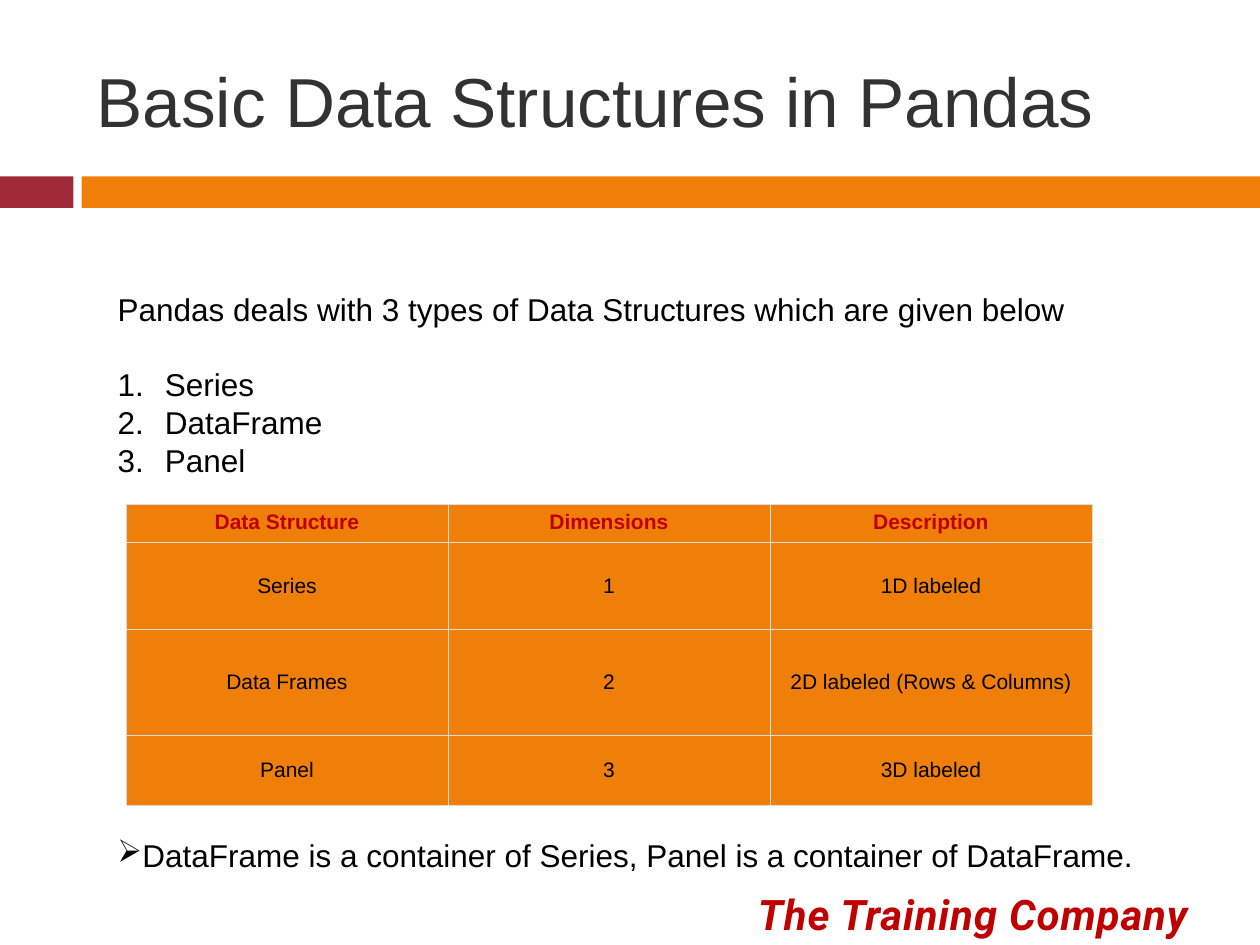
from dataclasses import dataclass

import pptx
import pptx.dml.color
import pptx.enum.shapes
import pptx.enum.text
import pptx.oxml
import pptx.oxml.ns
import pptx.util

Pt = pptx.util.Pt
Align = pptx.enum.text.PP_ALIGN
Anchor = pptx.enum.text.MSO_ANCHOR


@dataclass(frozen=True)
class Theme:
    """Colours, fonts and type sizes of the slide."""
    orange: str = "F07F09"
    maroon: str = "9F2936"
    red: str = "C00000"
    black: str = "000000"
    heading: str = "323232"
    border: str = "DDDDDD"
    font: str = "Arial"
    footer_font: str = "Roboto"
    title_size: float = 39.6
    footer_size: float = 24
    body_size: float = 18
    table_size: float = 12


@dataclass(frozen=True)
class Box:
    """Position and size in points."""
    left: float
    top: float
    width: float
    height: float

    def lengths(self) -> tuple:
        """Return the four lengths for python-pptx."""
        return Pt(self.left), Pt(self.top), Pt(self.width), Pt(self.height)


@dataclass(frozen=True)
class Bar:
    """One coloured bar below the title."""
    box: Box
    color: str


THEME = Theme()
BARS = [
    Bar(Box(0, 100.8, 42, 18), THEME.maroon),
    Bar(Box(46.6, 100.8, 673.4, 18), THEME.orange),
]
TITLE_BOX = Box(48, 18, 642, 78)
BODY_BOX = Box(60, 162, 579, 116.6)
TABLE_BOX = Box(72, 288, 552, 172)
NOTE_BOX = Box(60, 474, 612, 29)
FOOTER_BOX = Box(426, 504, 294, 36)
ROW_HEIGHTS = [22, 49.5, 60.5, 40]
ROWS = [
    ("Data Structure", "Dimensions", "Description"),
    ("Series", "1", "1D labeled"),
    ("Data Frames", "2", "2D labeled (Rows & Columns)"),
    ("Panel", "3", "3D labeled"),
]
INTRO = "Pandas deals with 3 types of Data Structures which are given below"
STRUCTURES = ["Series", "DataFrame", "Panel"]
NOTE = "DataFrame is a container of Series, Panel is a container of DataFrame."
FOOTER = "The Training Company"
LINE_HEIGHT = 21.6
LIST_INDENT = 27


def rgb(color: str) -> pptx.dml.color.RGBColor:
    """Turn a hex string into a colour."""
    return pptx.dml.color.RGBColor.from_string(color)


def add_run(paragraph, text: str, size: float, color: str = THEME.black,
            font: str = THEME.font, bold: bool = False, italic: bool = False):
    """Add one formatted run to a paragraph."""
    run = paragraph.add_run()
    run.text = text
    run.font.size = Pt(size)
    run.font.name = font
    run.font.bold = bold
    run.font.italic = italic
    run.font.color.rgb = rgb(color)
    return run


def set_bullet(paragraph, tag: str, indent: float = 0, **attributes: str) -> None:
    """Set the bullet kind and the hanging indent of a paragraph."""
    properties = paragraph._p.get_or_add_pPr()
    properties.set("marL", str(Pt(indent)))
    properties.set("indent", str(-Pt(indent)))
    bullet = pptx.oxml.parse_xml(f"<a:{tag} {pptx.oxml.ns.nsdecls('a')}/>")
    for name, value in attributes.items():
        bullet.set(name, value)
    properties.append(bullet)


def place(shape, box: Box) -> None:
    """Move and size a placeholder."""
    shape.left, shape.top, shape.width, shape.height = box.lengths()


def add_bar(slide, bar: Bar) -> None:
    """Draw one plain bar."""
    shape = slide.shapes.add_shape(
        pptx.enum.shapes.MSO_SHAPE.RECTANGLE, *bar.box.lengths())
    shape.shadow.inherit = False
    shape.fill.solid()
    shape.fill.fore_color.rgb = rgb(bar.color)
    shape.line.fill.background()


def fill_title(slide) -> None:
    """Write the title placeholder."""
    title = slide.shapes.title
    place(title, TITLE_BOX)
    frame = title.text_frame
    frame.auto_size = pptx.enum.text.MSO_AUTO_SIZE.NONE
    frame.vertical_anchor = Anchor.MIDDLE
    paragraph = frame.paragraphs[0]
    paragraph.alignment = Align.LEFT
    add_run(paragraph, "Basic Data Structures in Pandas",
            THEME.title_size, THEME.heading)


def fill_body(slide) -> None:
    """Write the introduction and the numbered list."""
    body = slide.placeholders[1]
    place(body, BODY_BOX)
    frame = body.text_frame
    frame.auto_size = pptx.enum.text.MSO_AUTO_SIZE.NONE
    frame.word_wrap = False
    for index, text in enumerate([INTRO, *STRUCTURES]):
        paragraph = frame.paragraphs[0] if index == 0 else frame.add_paragraph()
        paragraph.line_spacing = Pt(LINE_HEIGHT)
        paragraph.space_before = Pt(LINE_HEIGHT if index == 1 else 0)
        if index == 0:
            set_bullet(paragraph, "buNone")
        else:
            set_bullet(paragraph, "buAutoNum", LIST_INDENT, type="arabicPeriod")
        add_run(paragraph, text, THEME.body_size)


def add_text_box(slide, box: Box):
    """Add a wrapping text box and return its first paragraph."""
    frame = slide.shapes.add_textbox(*box.lengths()).text_frame
    frame.word_wrap = True
    return frame.paragraphs[0]


def set_borders(cell) -> None:
    """Draw a thin line on all four sides of a cell."""
    properties = cell._tc.get_or_add_tcPr()
    for position, side in enumerate(("lnL", "lnR", "lnT", "lnB")):
        properties.insert(position, pptx.oxml.parse_xml(
            f'<a:{side} {pptx.oxml.ns.nsdecls("a")} w="{Pt(0.6)}"><a:solidFill>'
            f'<a:srgbClr val="{THEME.border}"/></a:solidFill></a:{side}>'))


def add_structure_table(slide) -> None:
    """Draw the table of data structures."""
    table = slide.shapes.add_table(
        len(ROWS), len(ROWS[0]), *TABLE_BOX.lengths()).table
    table.horz_banding = False
    for row_index, (texts, height) in enumerate(zip(ROWS, ROW_HEIGHTS)):
        table.rows[row_index].height = Pt(height)
        header = row_index == 0
        for column_index, text in enumerate(texts):
            cell = table.cell(row_index, column_index)
            cell.margin_left = cell.margin_right = Pt(3.6)
            cell.margin_top = cell.margin_bottom = Pt(3.6)
            cell.vertical_anchor = Anchor.TOP if header else Anchor.MIDDLE
            cell.fill.solid()
            cell.fill.fore_color.rgb = rgb(THEME.orange)
            set_borders(cell)
            paragraph = cell.text_frame.paragraphs[0]
            paragraph.alignment = Align.CENTER
            add_run(paragraph, text, THEME.table_size,
                    THEME.red if header else THEME.black, bold=header)


def main() -> None:
    """Build and save the slide."""
    presentation = pptx.Presentation()
    presentation.slide_width, presentation.slide_height = Pt(720), Pt(540)
    slide = presentation.slides.add_slide(presentation.slide_layouts[1])
    for bar in BARS:
        add_bar(slide, bar)
    fill_title(slide)
    footer = add_run(add_text_box(slide, FOOTER_BOX), FOOTER,
                     THEME.footer_size, THEME.red, THEME.footer_font, True, True)
    footer._r.get_or_add_rPr().set("spc", "50")
    fill_body(slide)
    add_structure_table(slide)
    note = add_text_box(slide, NOTE_BOX)
    set_bullet(note, "buChar", char="➢")
    add_run(note, NOTE, THEME.body_size)
    presentation.save("out.pptx")


main()
